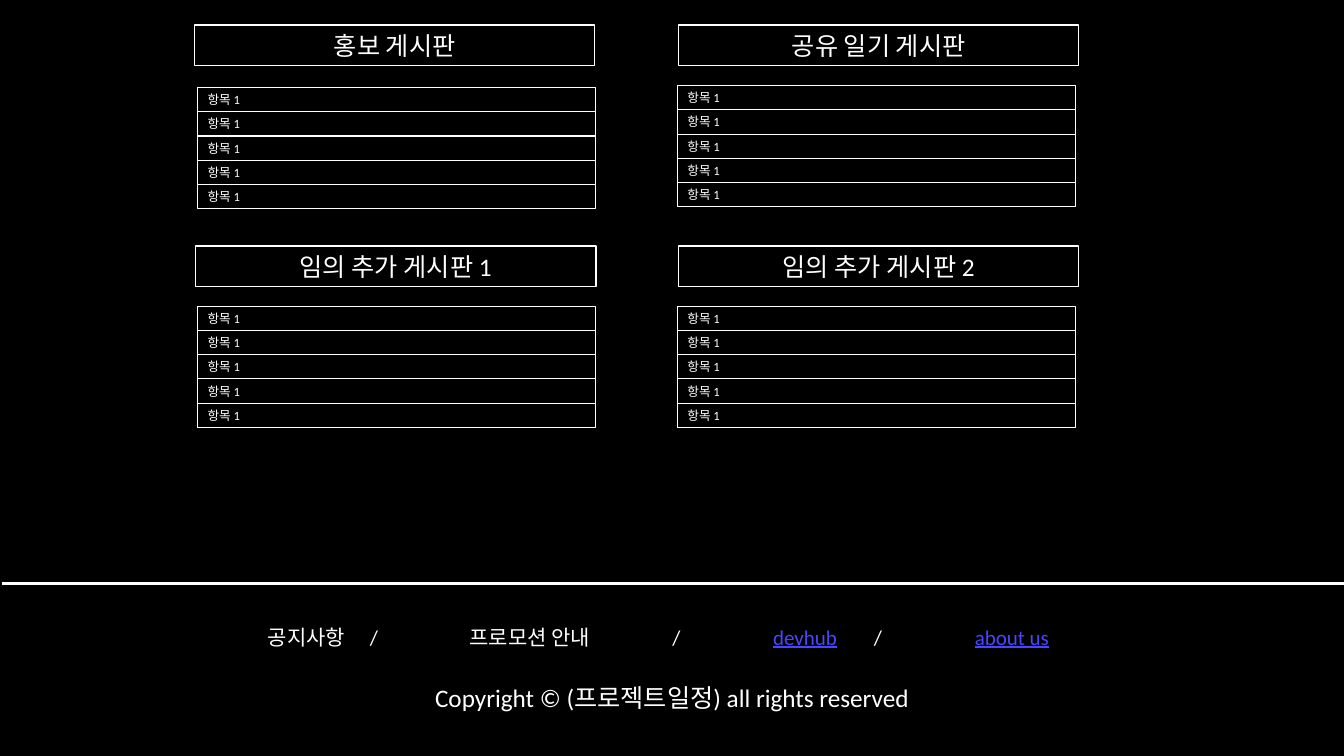
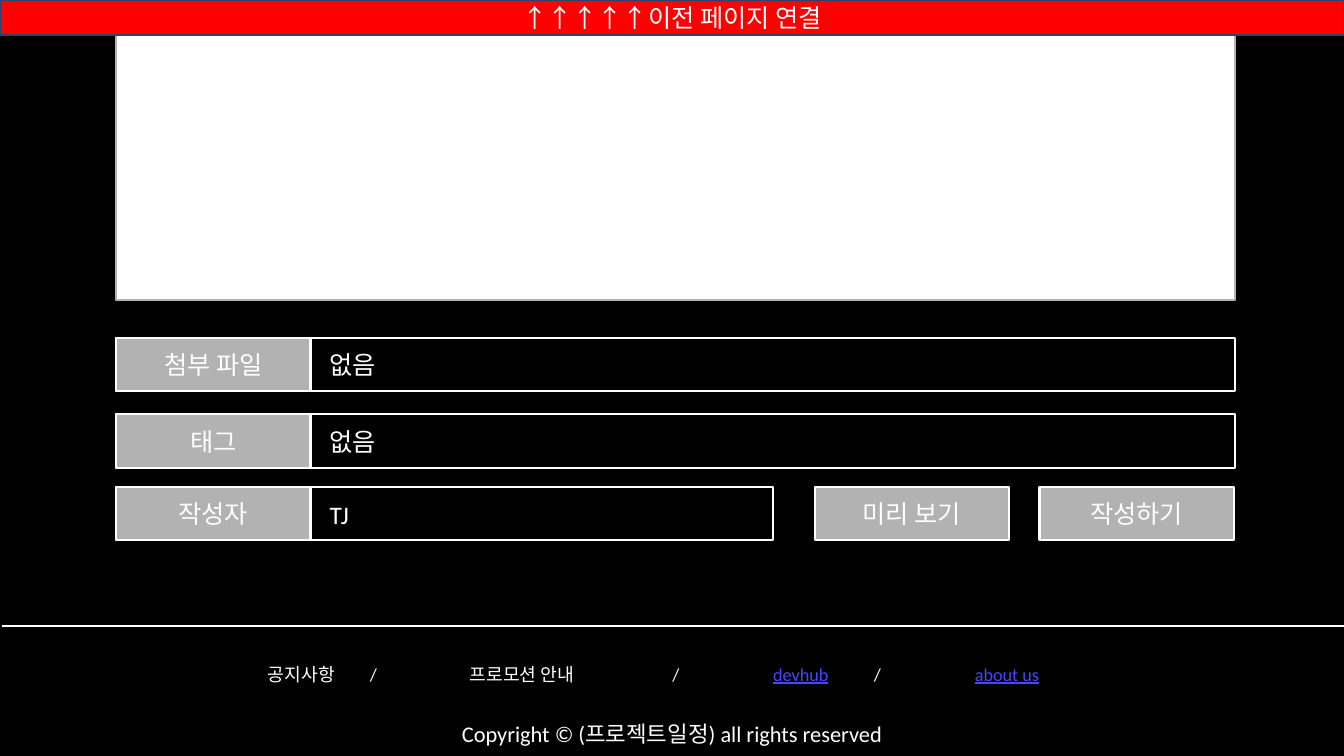
"""Build two dark wireframe slides: a board overview and a posting form."""
from dataclasses import dataclass

from lxml import etree
from pptx import Presentation
from pptx.dml.color import RGBColor
from pptx.enum.shapes import MSO_CONNECTOR, MSO_SHAPE
from pptx.enum.text import MSO_ANCHOR, PP_ALIGN
from pptx.oxml.ns import qn
from pptx.shapes.autoshape import Shape
from pptx.slide import Slide
from pptx.text.text import TextFrame
from pptx.util import Inches, Pt

RECT = MSO_SHAPE.RECTANGLE
STRAIGHT = MSO_CONNECTOR.STRAIGHT
LEFT = PP_ALIGN.LEFT
CENTER = PP_ALIGN.CENTER
TOP = MSO_ANCHOR.TOP
MIDDLE = MSO_ANCHOR.MIDDLE

COLORS = {
    "black": "000000",
    "white": "FFFFFF",
    "gray": "B2B2B2",
    "red": "FF0000",
    "navy": "30416A",
    "link": "4A45FF",
}
FONT = "Calibri"
WIDTH, HEIGHT = 13.33, 7.5
STOPS = (2.56, 3.57, 4.56, 6.57, 7.57, 8.57, 9.57)
ITEMS, STEP = 5, 0.24
EDGE, SPAN = 1.15, 11.1
BUTTON, ROW = 1.93, 0.53


@dataclass(frozen=True)
class Box:
    x: float
    y: float
    w: float
    h: float


@dataclass(frozen=True)
class Part:
    text: str
    size: float = 18
    color: str = "white"
    under: bool = False


@dataclass(frozen=True)
class Board:
    title: str
    head: Box
    x: float
    y: float


@dataclass(frozen=True)
class Field:
    label: str
    value: str
    y: float
    w: float


@dataclass(frozen=True)
class Footer:
    rule: float
    menu: float
    credit: float
    h: float
    small: float
    large: float


BOARDS = (
    Board("홍보 게시판", Box(1.93, 0.25, 3.97, 0.4), 1.96, 0.87),
    Board("공유 일기 게시판", Box(6.73, 0.25, 3.97, 0.4), 6.72, 0.85),
    Board("임의 추가 게시판 1", Box(1.94, 2.44, 3.97, 0.4), 1.96, 3.04),
    Board("임의 추가 게시판 2", Box(6.73, 2.44, 3.97, 0.4), 6.72, 3.04),
)
FIELDS = (
    Field("첨부 파일", "없음", 3.35, SPAN),
    Field("태그", "없음", 4.11, SPAN),
    Field("작성자", "TJ", 4.83, 6.52),
)
BUTTONS = (("미리 보기", 8.08), ("작성하기", 10.31))


def rgb(name: str) -> RGBColor:
    return RGBColor.from_string(COLORS[name])


def write(frame: TextFrame, parts: tuple[Part, ...], align: PP_ALIGN,
          anchor: MSO_ANCHOR = TOP, stops: tuple[float, ...] = ()) -> None:
    frame.word_wrap = True
    frame.vertical_anchor = anchor
    para = frame.paragraphs[0]
    para.alignment = align
    if stops:
        tabs = etree.SubElement(para._p.get_or_add_pPr(), qn("a:tabLst"))
        for stop in stops:
            etree.SubElement(tabs, qn("a:tab"), pos=str(Inches(stop)), algn="l")
    for part in parts:
        run = para.add_run()
        run.text = part.text
        font = run.font
        font.name = FONT
        font.size = Pt(part.size)
        font.color.rgb = rgb(part.color)
        if part.under:
            font.underline = True


def label(slide: Slide, box: Box, parts: tuple[Part, ...],
          align: PP_ALIGN = LEFT, stops: tuple[float, ...] = ()) -> None:
    shape = slide.shapes.add_textbox(
        Inches(box.x), Inches(box.y), Inches(box.w), Inches(box.h))
    write(shape.text_frame, parts, align, stops=stops)


def panel(shapes, box: Box, fill: str = "", line: str = "white",
          weight: float = 1.5, text: str = "", size: float = 18,
          align: PP_ALIGN = CENTER) -> Shape:
    shape = shapes.add_shape(
        RECT, Inches(box.x), Inches(box.y), Inches(box.w), Inches(box.h))
    shape.shadow.inherit = False
    if fill:
        shape.fill.solid()
        shape.fill.fore_color.rgb = rgb(fill)
    else:
        shape.fill.background()
    shape.line.color.rgb = rgb(line)
    shape.line.width = Pt(weight)
    if text:
        write(shape.text_frame, (Part(text, size),), align, MIDDLE)
    return shape


def draw_footer(slide: Slide, foot: Footer) -> None:
    rule = slide.shapes.add_connector(
        STRAIGHT, Inches(0.02), Inches(foot.rule), Inches(WIDTH), Inches(foot.rule))
    rule.line.color.rgb = rgb("white")
    rule.line.width = Pt(2)
    etree.SubElement(rule._element.spPr, qn("a:effectLst"))
    menu = (
        Part("\t", foot.large),
        Part("공지사항\t/ \t프로모션 안내\t/\t", foot.small),
        Part("devhub", foot.small, "link", True),
        Part("\t/\t", foot.small),
        Part("about us", foot.small, "link", True),
    )
    label(slide, Box(0, foot.menu, WIDTH, foot.h), menu, stops=STOPS)
    credit = Part("Copyright © (프로젝트일정) all rights reserved", foot.large)
    label(slide, Box(0, foot.credit, WIDTH, foot.h), (credit,), CENTER)


def draw_board(slide: Slide, board: Board) -> None:
    panel(slide.shapes, board.head, weight=1, text=board.title)
    group = slide.shapes.add_group_shape()
    for i in range(ITEMS):
        box = Box(board.x, board.y + i * STEP, 3.95, STEP)
        panel(group.shapes, box, weight=0.75, text="항목 1", size=9, align=LEFT)


def draw_button(slide: Slide, text: str, x: float, y: float) -> None:
    panel(slide.shapes, Box(x, y, BUTTON, ROW), fill="gray", text=text)


def draw_field(slide: Slide, field: Field) -> None:
    panel(slide.shapes, Box(EDGE, field.y, field.w, ROW))
    draw_button(slide, field.label, EDGE, field.y)
    left = EDGE + BUTTON + 0.09
    box = Box(left, field.y + 0.07, EDGE + field.w - left, 0.4)
    label(slide, box, (Part(field.value),))


def main() -> None:
    deck = Presentation()
    deck.slide_width = Inches(WIDTH)
    deck.slide_height = Inches(HEIGHT)
    back = deck.slide_master.background.fill
    back.solid()
    back.fore_color.rgb = rgb("black")
    blank = deck.slide_layouts[6]

    home = deck.slides.add_slide(blank)
    for board in BOARDS:
        draw_board(home, board)
    draw_footer(home, Footer(5.79, 6.1, 6.72, 0.4, 15, 18))

    form = deck.slides.add_slide(blank)
    panel(form.shapes, Box(EDGE, 0.02, SPAN, 2.96), fill="white", line="gray")
    panel(form.shapes, Box(0, 0, WIDTH, 0.35), fill="red", line="navy",
          text="↑↑↑↑↑이전 페이지 연결")
    for field in FIELDS:
        draw_field(form, field)
    for text, x in BUTTONS:
        draw_button(form, text, x, FIELDS[-1].y)
    draw_footer(form, Footer(6.21, 6.49, 7.1, 0.36, 13, 16))

    deck.save("out.pptx")


if __name__ == "__main__":
    main()
